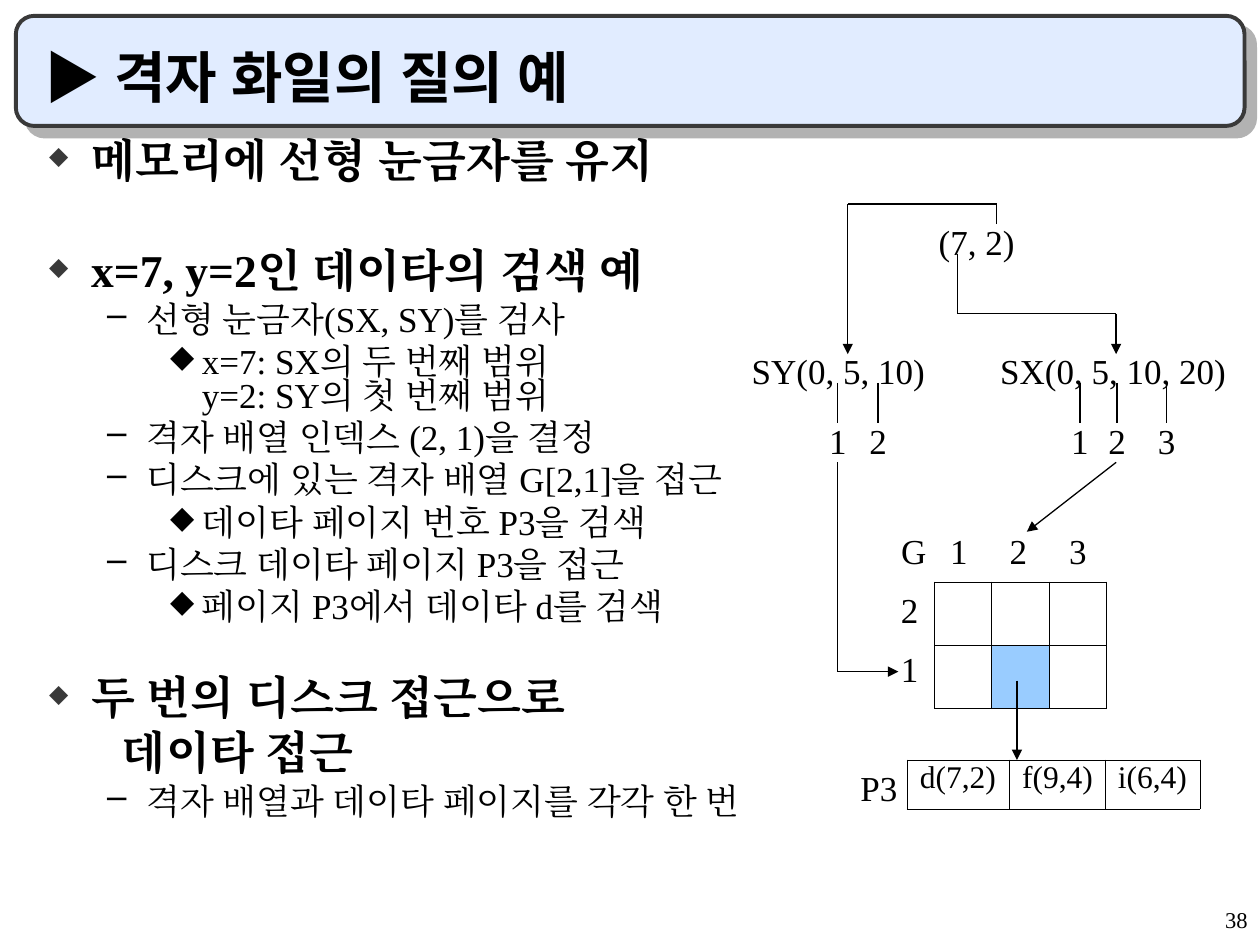
from lxml.etree import SubElement
from pptx import Presentation
from pptx.dml.color import RGBColor
from pptx.enum.shapes import MSO_CONNECTOR as Link, MSO_SHAPE as Shape
from pptx.enum.text import MSO_ANCHOR as Anchor, MSO_AUTO_SIZE as AutoSize, PP_ALIGN as Align
from pptx.oxml.ns import qn
from pptx.util import Cm, Pt

BLACK = RGBColor(0x00, 0x00, 0x00)
GRAPHITE = RGBColor(0x39, 0x39, 0x39)
BANNER = RGBColor(0xE1, 0xEC, 0xFF)
SHADOW = RGBColor(0xB2, 0xB2, 0xB2)
HIT = RGBColor(0x99, 0xCC, 0xFF)
FONT = "Times New Roman"

HEADING = dict(left=0.95, hang=0.85, size=26, before=6.5, bold=True,
               bullet="◆", bullet_color=GRAPHITE, bullet_size=55)
CONTINUED = dict(left=1.57, size=26, before=6.5, bold=True)
STEP = dict(left=2.06, hang=0.79, size=20, before=5, bullet="–")
DETAIL = dict(left=3.18, hang=0.64, size=20, before=5, bullet="◆", bullet_size=90)
OUTLINE = [
    (HEADING | {"before": 0}, "메모리에 선형 눈금자를 유지"),
    (HEADING | {"before": 38}, "x=7, y=2인 데이타의 검색 예"),
    (STEP, "선형 눈금자(SX, SY)를 검사"),
    (DETAIL, "x=7: SX의 두 번째 범위\ny=2: SY의 첫 번째 범위"),
    (STEP, "격자 배열 인덱스 (2, 1)을 결정"),
    (STEP, "디스크에 있는 격자 배열 G[2,1]을 접근"),
    (DETAIL, "데이타 페이지 번호 P3을 검색"),
    (STEP, "디스크 데이타 페이지 P3을 접근"),
    (DETAIL, "페이지 P3에서 데이타 d를 검색"),
    (HEADING | {"before": 30.5}, "두 번의 디스크 접근으로"),
    (CONTINUED, "데이타 접근"),
    (STEP, "격자 배열과 데이타 페이지를 각각 한 번"),
]

LABELS = [
    ("(7, 2)", 19.69, 4.32, 2.03),
    ("SY(0, 5, 10)", 16.9, 6.93, 3.99),
    ("SX(0, 5, 10, 20)", 22.44, 6.93, 5.05),
    ("G", 18.42, 10.54, 1.02),
    ("P3", 17.72, 15.32, 1.24),
]
SCALE_TICKS = [("1", 16.89), ("2", 17.7), ("1", 21.77), ("2", 22.52), ("3", 23.52)]
GRID_STEP = 1.2

ARROWS = [
    [(20.09, 4.52), (20.09, 4.11), (17.09, 4.11), (17.09, 7.14)],
    [(19.3, 5.13), (19.3, 6.32), (22.5, 6.32), (22.5, 7.14)],
    [(22.5, 9.32), (20.7, 10.72)],
    [(16.89, 9.32), (16.89, 13.54), (18.11, 13.54)],
    [(20.5, 13.72), (20.5, 15.32)],
]


def add_run(paragraph, text, size, bold=False):
    run = paragraph.add_run()
    run.text = text
    font = run.font
    font.name, font.size, font.bold = FONT, Pt(size), bold
    font.color.rgb = BLACK
    SubElement(run._r.get_or_add_rPr(), qn("a:ea"), typeface=FONT)


def add_box(slide, left, top, width, height, wrap=True):
    frame = slide.shapes.add_textbox(Cm(left), Cm(top), Cm(width), Cm(height)).text_frame
    frame.word_wrap = wrap
    return frame


def add_banner(slide):
    banner = slide.shapes.add_shape(Shape.ROUNDED_RECTANGLE, Cm(0.32), Cm(0.32), Cm(24.77), Cm(2.22))
    banner.shadow.inherit = False
    banner.fill.solid()
    banner.fill.fore_color.rgb = BANNER
    banner.line.color.rgb = GRAPHITE
    banner.line.width = Pt(2.25)
    effects = banner._element.spPr.find(qn("a:effectLst"))
    shadow = SubElement(effects, qn("a:outerShdw"), blurRad="0", dist=str(Pt(8.5)),
                        dir="2700000", algn="ctr", rotWithShape="0")
    SubElement(shadow, qn("a:srgbClr"), val=str(SHADOW))


def add_title(slide, text):
    frame = add_box(slide, 0.64, 0.64, 23.92, 1.69)
    frame.vertical_anchor = Anchor.BOTTOM
    add_run(frame.paragraphs[0], text, 32, bold=True)


def add_bullet(paragraph, left, hang, mark, color, scale):
    properties = paragraph._p.get_or_add_pPr()
    properties.set("marL", str(Cm(left)))
    properties.set("indent", str(-Cm(hang)))
    if mark:
        tint = SubElement(properties, qn("a:buClr"))
        SubElement(tint, qn("a:srgbClr"), val=str(color))
        SubElement(properties, qn("a:buSzPct"), val=str(scale * 1000))
        SubElement(properties, qn("a:buChar"), char=mark)


def add_outline(slide):
    frame = add_box(slide, 0.64, 2.75, 23.92, 14.82)
    for index, (style, text) in enumerate(OUTLINE):
        paragraph = frame.add_paragraph() if index else frame.paragraphs[0]
        add_bullet(paragraph, style["left"], style.get("hang", 0), style.get("bullet"),
                   style.get("bullet_color", BLACK), style.get("bullet_size", 100))
        paragraph.line_spacing = 0.8
        paragraph.space_before = Pt(style["before"])
        for number, line in enumerate(text.split("\n")):
            if number:
                paragraph.add_line_break()
            add_run(paragraph, line, style["size"], style.get("bold", False))


def add_label(slide, text, center, top, width=0.86):
    frame = add_box(slide, center - width / 2, top, width, 1.12, wrap=False)
    frame.margin_left = frame.margin_right = 0
    frame.auto_size = AutoSize.NONE
    frame.paragraphs[0].alignment = Align.CENTER
    add_run(frame.paragraphs[0], text, 20)


def add_route(slide, points, arrow=True):
    for start, end in zip(points, points[1:]):
        ends = [Cm(value) for value in start + end]
        segment = slide.shapes.add_connector(Link.STRAIGHT, *ends)
        segment.line.color.rgb = BLACK
        segment.line.width = Pt(0.75)
        SubElement(segment._element.spPr, qn("a:effectLst"))
    if arrow:
        SubElement(segment.line._get_or_add_ln(), qn("a:tailEnd"), type="triangle")


def add_borders(cell):
    properties = cell._tc.get_or_add_tcPr()
    for position, side in enumerate(("a:lnL", "a:lnR", "a:lnT", "a:lnB")):
        border = properties.makeelement(qn(side), {"w": str(Pt(0.45))})
        fill = SubElement(border, qn("a:solidFill"))
        SubElement(fill, qn("a:srgbClr"), val=str(BLACK))
        properties.insert(position, border)


def add_grid(slide, left, top, widths, row_height, rows):
    table = slide.shapes.add_table(len(rows), len(widths), Cm(left), Cm(top),
                                   Cm(sum(widths)), Cm(row_height * len(rows))).table
    table.first_row = table.horz_banding = False
    for column, width in zip(table.columns, widths):
        column.width = Cm(width)
    for row, texts in zip(table.rows, rows):
        row.height = Cm(row_height)
        for cell, text in zip(row.cells, texts):
            cell.margin_right = 0
            cell.fill.background()
            add_borders(cell)
            if text:
                paragraph = cell.text_frame.paragraphs[0]
                paragraph.line_spacing = 0.8
                add_run(paragraph, text, 18)
    return table


def add_page_number(slide, number):
    paragraph = add_box(slide, 20.12, 18.21, 5.28, 0.84).paragraphs[0]
    paragraph.alignment = Align.RIGHT
    paragraph.line_spacing = 0.9
    add_run(paragraph, number, 12.9)


def add_diagram(slide):
    for label in LABELS:
        add_label(slide, *label)
    for text, x in SCALE_TICKS:
        add_route(slide, [(x, 7.72), (x, 8.53)], arrow=False)
        add_label(slide, text, x, 8.33)
    for column in range(3):
        add_label(slide, str(column + 1), 19.33 + column * GRID_STEP, 10.54)
    for row in range(2):
        add_label(slide, str(2 - row), 18.34, 11.73 + row * GRID_STEP)
    directory = add_grid(slide, 18.84, 11.73, [1.15, 1.17, 1.15], 1.27, [[""] * 3] * 2)
    target = directory.cell(1, 1)
    target.fill.solid()
    target.fill.fore_color.rgb = HIT
    add_grid(slide, 18.29, 15.32, [2.06, 1.93, 1.91], 0.99, [["d(7,2)", "f(9,4)", "i(6,4)"]])
    for points in ARROWS:
        add_route(slide, points)


def main():
    """Build the grid-file query slide and save it."""
    deck = Presentation()
    deck.slide_width, deck.slide_height = Cm(25.4), Cm(19.05)
    slide = deck.slides.add_slide(deck.slide_layouts[6])
    add_banner(slide)
    add_page_number(slide, "38")
    add_title(slide, "▶ 격자 화일의 질의 예")
    add_outline(slide)
    add_diagram(slide)
    deck.save("out.pptx")


if __name__ == "__main__":
    main()
